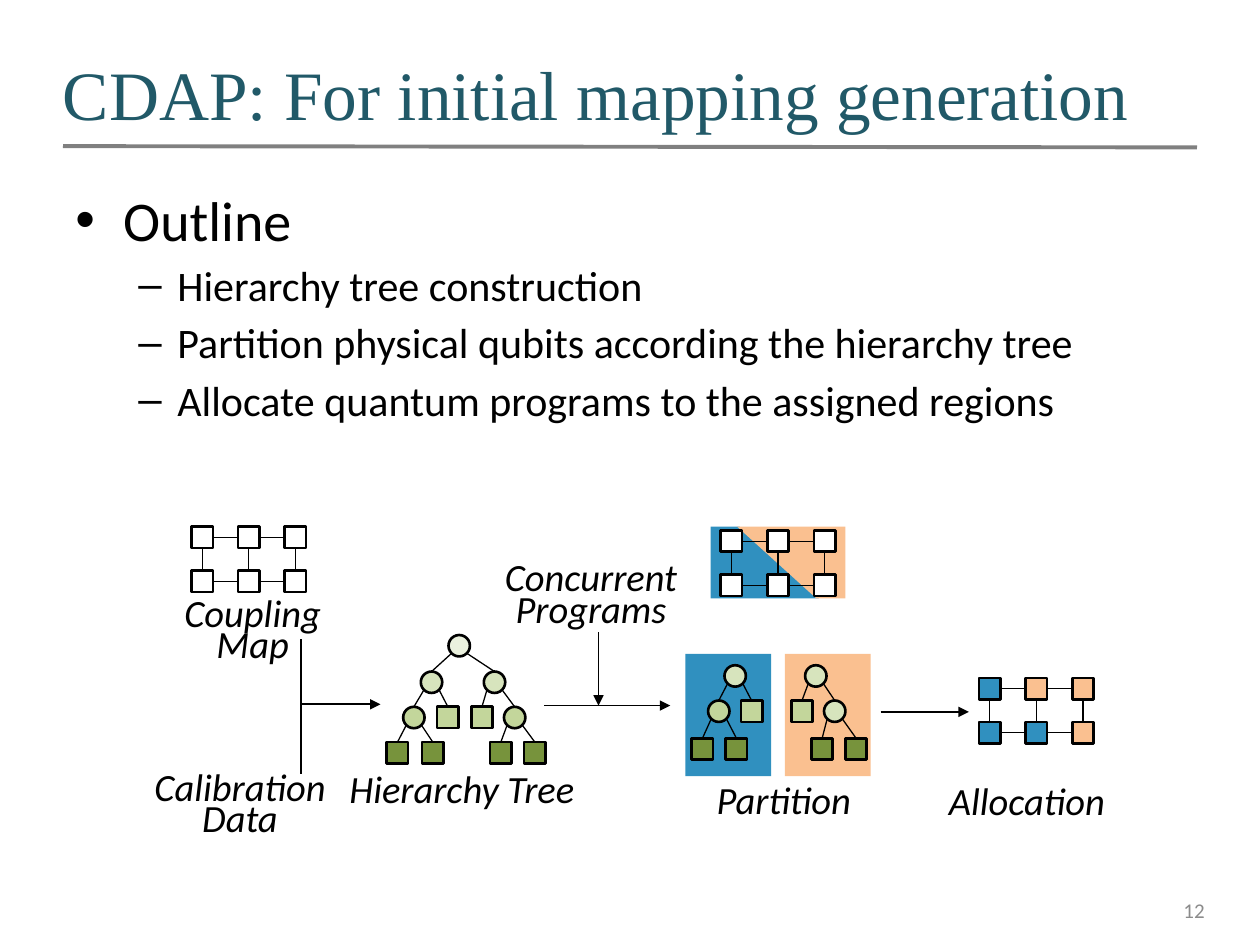
from pptx import Presentation
from pptx.dml.color import RGBColor
from pptx.enum.shapes import MSO_CONNECTOR, MSO_SHAPE
from pptx.enum.text import MSO_ANCHOR as Anchor, PP_ALIGN as Align
from pptx.oxml.ns import qn
from pptx.util import Inches, Pt
from lxml.etree import SubElement

BLACK, WHITE, BLUE, ORANGE = "000000", "FFFFFF", "3090BF", "FAC090"
PALE, LIGHT, MID, DARK = "EBF1DE", "D7E4BD", "C3D69B", "77933C"
NODE = 0.17


def rgb(code):
    return RGBColor.from_string(code)


class Diagram:
    """Draws styled text, nodes, lattices and trees on one slide."""

    def __init__(self, slide):
        self.slide = slide
        self.shapes = slide.shapes

    def frame(self, left, top, width, height, insets=(0.1, 0.05, 0.1, 0.05), anchor=Anchor.TOP):
        frame = self.shapes.add_textbox(*map(Inches, (left, top, width, height))).text_frame
        frame.word_wrap = True
        frame.vertical_anchor = anchor
        frame.margin_left, frame.margin_top, frame.margin_right, frame.margin_bottom = map(Inches, insets)
        return frame

    def style_text(self, paragraph, text, size, color=BLACK, font="Calibri", italic=False, align=Align.LEFT):
        paragraph.text = text
        paragraph.alignment = align
        paragraph.font.size = Pt(size)
        paragraph.font.name = font
        paragraph.font.italic = italic
        paragraph.font.color.rgb = rgb(color)

    def bullet(self, paragraph, text, size, mark, margin, hanging, level=0):
        paragraph.level = level
        props = paragraph._p.get_or_add_pPr()
        props.set("marL", str(Inches(margin)))
        props.set("indent", str(-Inches(hanging)))
        SubElement(props, qn("a:buFont")).set("typeface", "Arial")
        SubElement(props, qn("a:buChar")).set("char", mark)
        self.style_text(paragraph, text, size)

    def label(self, text, box, insets, spacing=None):
        caption = self.frame(*box, insets).paragraphs[0]
        self.style_text(caption, text, 22, italic=True, align=Align.CENTER)
        if spacing:
            caption.line_spacing = Pt(spacing)

    def paint(self, shape, fill, outline=None):
        shape.shadow.inherit = False
        shape.fill.solid()
        shape.fill.fore_color.rgb = rgb(fill)
        if outline:
            shape.line.color.rgb = rgb(outline)
            shape.line.width = Pt(1.5)
        else:
            shape.line.fill.background()
        return shape

    def node(self, left, top, fill, kind=MSO_SHAPE.RECTANGLE):
        shape = self.shapes.add_shape(kind, *map(Inches, (left, top, NODE, NODE)))
        return self.paint(shape, fill, BLACK)

    def panel(self, left, top, width, height, fill):
        self.paint(self.shapes.add_shape(MSO_SHAPE.RECTANGLE, *map(Inches, (left, top, width, height))), fill)

    def polygon(self, points, fill):
        corners = [(Inches(x), Inches(y)) for x, y in points]
        builder = self.shapes.build_freeform(*corners[0])
        builder.add_line_segments(corners[1:])
        self.paint(builder.convert_to_shape(), fill)

    def line(self, start=(0, 0), end=(0, 0), width=0.75, color=BLACK, arrow=False):
        line = self.shapes.add_connector(MSO_CONNECTOR.STRAIGHT, *map(Inches, (*start, *end)))
        line.line.color.rgb = rgb(color)
        line.line.width = Pt(width)
        if arrow:
            SubElement(line.line._get_or_add_ln(), qn("a:tailEnd")).set("type", "triangle")
        SubElement(line._element.spPr, qn("a:effectLst"))
        return line

    def join(self, first, first_side, second, second_side):
        link = self.line()
        link.begin_connect(first, first_side)
        link.end_connect(second, second_side)

    def lattice(self, left, top, fills):
        grid = [[self.node(left + 0.37 * col, top + 0.35 * row, fill) for col, fill in enumerate(line)]
                for row, line in enumerate(fills)]
        for line in grid:
            for first, second in zip(line, line[1:]):
                self.join(first, 3, second, 1)
        for upper, lower in zip(*grid):
            self.join(upper, 2, lower, 0)

    def tree(self, branch, tops):
        left, fill, *children = branch
        top = tops[0]
        kind = MSO_SHAPE.OVAL if children else MSO_SHAPE.RECTANGLE
        parent = self.node(left, top, fill, kind)
        for child in children:
            side = 0.06 if child[0] > left else -0.06
            start = (left + NODE / 2 + side, top + NODE / 2 + 0.06)
            self.line(start, start).end_connect(self.tree(child, tops[1:]), 0)
        return parent


def main():
    deck = Presentation()
    deck.slide_width, deck.slide_height = Inches(10), Inches(7.5)
    diagram = Diagram(deck.slides.add_slide(deck.slide_layouts[6]))

    diagram.line((0.5, 1.16), (9.5, 1.17), 2.25, "808080")
    title = diagram.frame(0.5, 0.3, 9, 0.87, (0, 0.05, 0, 0.05), Anchor.MIDDLE)
    diagram.style_text(title.paragraphs[0], "CDAP: For initial mapping generation", 39.6, "215968", "Times New Roman")

    outline = diagram.frame(0.5, 1.42, 9, 2.2)
    diagram.bullet(outline.paragraphs[0], "Outline", 32, "•", 0.38, 0.38)
    for step in ("Hierarchy tree construction",
                 "Partition physical qubits according the hierarchy tree",
                 "Allocate quantum programs to the assigned regions"):
        item = outline.add_paragraph()
        item.space_before = Pt(4)
        diagram.bullet(item, step, 24, "–", 0.81, 0.31, 1)

    number = diagram.frame(7.33, 7.02, 2.33, 0.4, anchor=Anchor.MIDDLE)
    diagram.style_text(number.paragraphs[0], "12", 12, "8C8C8C", align=Align.RIGHT)

    diagram.line((2.39, 6.14), (2.39, 5.07), 1)
    for start, end in (((2.4, 5.59), (3.02, 5.59)), ((4.75, 5.02), (4.75, 5.6)),
                       ((4.32, 5.6), (5.32, 5.6)), ((6.99, 5.65), (7.69, 5.65))):
        diagram.line(start, end, 1, arrow=True)

    diagram.lattice(1.52, 4.18, [[WHITE] * 3] * 2)
    diagram.lattice(7.77, 5.38, [[BLUE, ORANGE, ORANGE], [BLUE, BLUE, ORANGE]])
    diagram.polygon([(5.64, 4.18), (5.87, 4.18), (6.5, 4.75), (5.64, 4.75)], BLUE)
    diagram.polygon([(5.85, 4.18), (6.71, 4.18), (6.71, 4.75), (6.48, 4.75)], ORANGE)
    diagram.lattice(5.72, 4.21, [[WHITE] * 3] * 2)

    left_half = (3.34, LIGHT, (3.2, MID, (3.07, DARK), (3.35, DARK)), (3.47, MID))
    right_half = (3.84, LIGHT, (3.74, MID), (4, MID, (3.89, DARK), (4.16, DARK)))
    diagram.tree((3.56, PALE, left_half, right_half), (5.04, 5.33, 5.61, 5.89))

    blue_part = (5.75, LIGHT, (5.62, MID, (5.49, DARK), (5.76, DARK)), (5.88, MID))
    orange_part = (6.39, LIGHT, (6.28, MID), (6.54, LIGHT, (6.44, DARK), (6.71, DARK)))
    for left, fill, part in ((5.44, BLUE, blue_part), (6.23, ORANGE, orange_part)):
        diagram.panel(left, 5.19, 0.68, 0.97, fill)
        diagram.tree(part, (5.28, 5.56, 5.86))

    padded, flush = (0.1, 0.05, 0.1, 0.05), (0, 0.05, 0, 0)
    diagram.label("Concurrent Programs", (3.78, 4.46, 1.82, 0.62), (0, 0.05, 0, 0.05), 18)
    diagram.label("Coupling Map", (1.32, 4.74, 1.37, 0.62), padded, 18)
    diagram.label("Calibration Data", (1.12, 6.12, 1.57, 0.62), padded, 18)
    diagram.label("Hierarchy Tree", (2.69, 6.14, 1.95, 0.32), flush, 18)
    diagram.label("Partition", (5.36, 6.11, 1.72, 0.42), flush)
    diagram.label("Allocation", (7.51, 6.17, 1.28, 0.37), (0, 0, 0, 0))

    deck.save("out.pptx")


if __name__ == "__main__":
    main()
